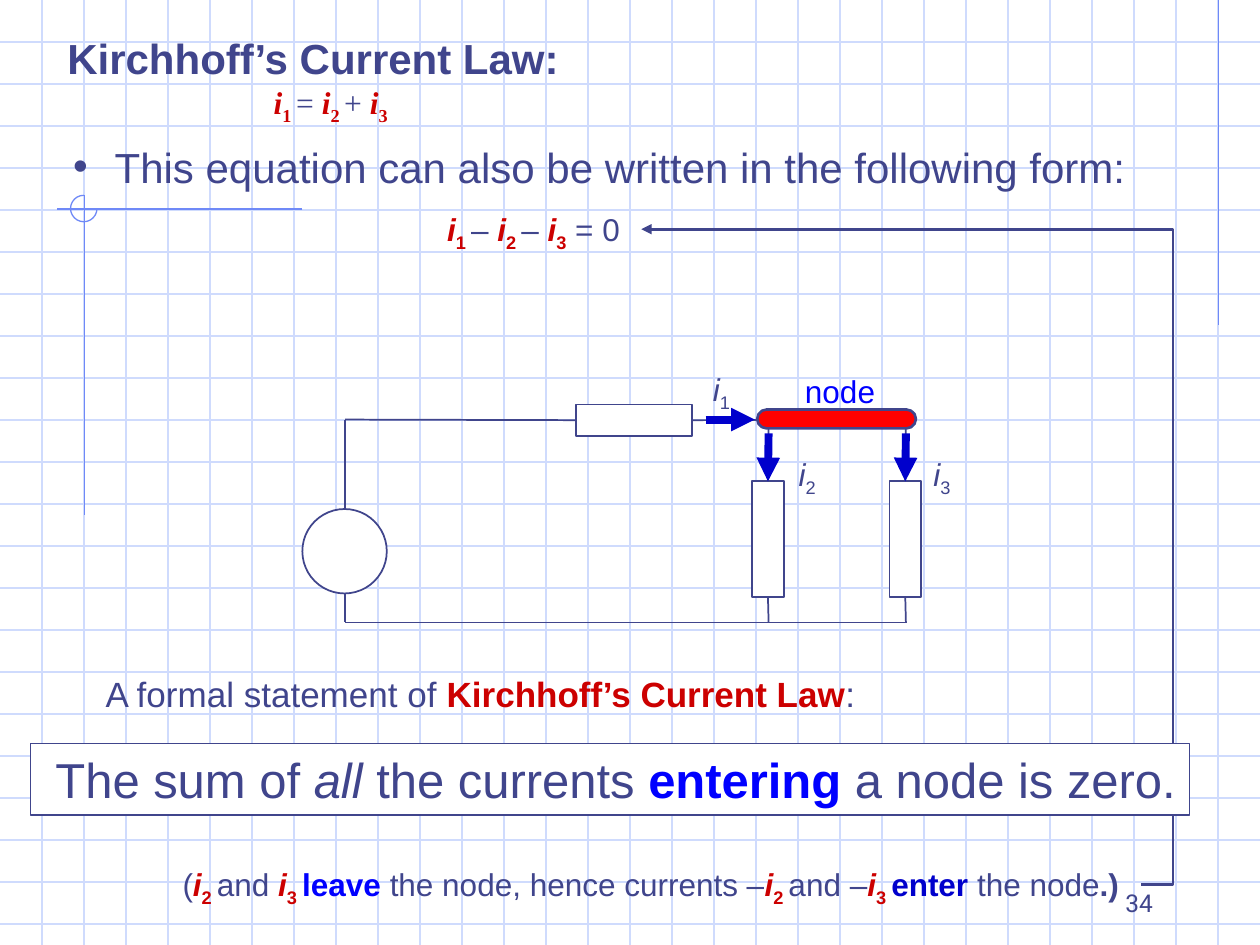
"""Build the slide on Kirchhoff's current law."""
import pptx
import pptx.util
import pptx.dml.color
import pptx.enum.shapes
import pptx.enum.text
import pptx.oxml
import pptx.oxml.ns

Inches = pptx.util.Inches
KIND = pptx.enum.shapes.MSO_SHAPE
LINK = pptx.enum.shapes.MSO_CONNECTOR
ALIGN = pptx.enum.text.PP_ALIGN
ANCHOR = pptx.enum.text.MSO_ANCHOR

HEX = {"ink": "40458C", "red": "CC0000", "bar": "FF0000", "blue": "0000FF",
       "navy": "0000CC", "grid": "CFDBFD", "rule": "6F89F7", "white": "FFFFFF"}
VAR = {"color": "red", "bold": True, "italic": True}
SUB = {"color": "red", "bold": True, "low": True}
RED = {"color": "red", "bold": True}
BLUE = {"color": "blue", "bold": True}
NAVY = {"color": "navy", "bold": True}
BOLD = {"bold": True}


def rgb(name):
    """Return the named colour."""
    return pptx.dml.color.RGBColor.from_string(HEX[name])


def term(num, gap=" "):
    """Return the runs of one current in red."""
    return [("i", VAR), (f"{num}{gap}", SUB)]


def write(para, runs, size, face="Arial"):
    """Add styled runs to a paragraph."""
    para.space_before = pptx.util.Pt(0)
    for text, style in runs:
        run = para.add_run()
        run.text = text
        form = {"size": pptx.util.Pt(size), "name": face, "bold": False,
                "italic": False, **style}
        run.font.color.rgb = rgb(form.pop("color", "ink"))
        if form.pop("low", False):
            run.font._element.set("baseline", "-25000")
        for key, value in form.items():
            setattr(run.font, key, value)


def place(shape, spot):
    """Move and size a shape."""
    for key, value in zip(("left", "top", "width", "height"), spot):
        setattr(shape, key, Inches(value))


def frame(shape, **form):
    """Set the text frame of a shape and return its first paragraph."""
    base = {"word_wrap": False, "vertical_anchor": ANCHOR.TOP,
            "auto_size": pptx.enum.text.MSO_AUTO_SIZE.NONE,
            "margin_left": Inches(0.1), "margin_right": Inches(0.1),
            "margin_top": Inches(0.05), "margin_bottom": Inches(0.05)}
    for key, value in {**base, **form}.items():
        setattr(shape.text_frame, key, value)
    return shape.text_frame.paragraphs[0]


def label(slide, spot, runs, size, face="Arial", align=ALIGN.LEFT, **form):
    """Add a text box with one line."""
    para = frame(slide.shapes.add_textbox(*map(Inches, spot)), **form)
    para.alignment = align
    write(para, runs, size, face)


def shape(slide, kind, spot, fill="white", line="ink", width=1):
    """Add a preset shape."""
    item = slide.shapes.add_shape(kind, *map(Inches, spot))
    item.shadow.inherit = False
    if fill:
        item.fill.solid()
        item.fill.fore_color.rgb = rgb(fill)
    else:
        item.fill.background()
    item.line.color.rgb = rgb(line)
    item.line.width = pptx.util.Pt(width)
    return item


def wire(slide, start, end, color="ink", width=1, head=False,
         kind=LINK.STRAIGHT, begin=None, join=None):
    """Add a connector, joined to shapes where given."""
    item = slide.shapes.add_connector(kind, *map(Inches, (*start, *end)))
    if begin:
        item.begin_connect(*begin)
    if join:
        item.end_connect(*join)
    item.line.color.rgb = rgb(color)
    item.line.width = pptx.util.Pt(width)
    props = item._element.spPr
    if head:
        tail = pptx.oxml.parse_xml(f'<a:tailEnd {pptx.oxml.ns.nsdecls("a")} type="triangle"/>')
        item.line._get_or_add_ln().append(tail)
    props.append(pptx.oxml.parse_xml(f'<a:effectLst {pptx.oxml.ns.nsdecls("a")}/>'))
    return item


def paper(slide):
    """Draw the squared paper and its margin rules."""
    for num in range(1, 23):
        wire(slide, (0, num / 3), (10, num / 3), "grid", 0.75)
    for num in range(1, 30):
        wire(slide, (num / 3, 0), (num / 3, 7.5), "grid", 0.75)
    for start, end in (((9.67, 0), (9.67, 2.58)), ((2.4, 1.66), (0.45, 1.66)),
                       ((0.67, 1.55), (0.67, 4.09))):
        wire(slide, start, end, "rule", 0.75)
    arc = shape(slide, KIND.ARC, (0.56, 1.55, 0.21, 0.21), None, "rule", 0.75)
    arc.adjustments[0], arc.adjustments[1] = 0, 162


def heading(slide):
    """Fill the title and body, above the paper."""
    title, body = slide.shapes.title, slide.placeholders[1]
    for item in (title, body):
        slide.shapes._spTree.append(item._element)
    place(title, (0.43, 0.21, 4.11, 0.87))
    first = frame(title)
    second = title.text_frame.add_paragraph()
    second._p.get_or_add_pPr().set("marL", str(Inches(0.28)))
    for para in (first, second):
        para.alignment = ALIGN.CENTER
    write(first, [("Kirchhoff’s Current Law:", BOLD)], 24)
    write(second, [*term(1), ("= ", {}), *term(2), ("+ ", {}), *term(3, "")],
          18, "Times New Roman")
    place(body, (0.48, 1.07, 9.52, 0.5))
    para = frame(body, word_wrap=True)
    props = para._p.get_or_add_pPr()
    props.set("marL", str(Inches(0.33)))
    props.set("indent", str(-Inches(0.33)))
    props.append(pptx.oxml.parse_xml(f'<a:buChar {pptx.oxml.ns.nsdecls("a")} char="•"/>'))
    write(para, [("This equation can also be written in the following form:", {})], 24)


def circuit(slide):
    """Draw the circuit with its node and currents."""
    shape(slide, KIND.OVAL, (2.4, 4.04, 0.67, 0.67))
    feed = shape(slide, KIND.RECTANGLE, (4.57, 3.21, 0.92, 0.25))
    wire(slide, (2.74, 3.33), (2.74, 4.04))
    wire(slide, (2.74, 4.71), (2.74, 4.94))
    wire(slide, (2.74, 4.94), (7.2, 4.94))
    wire(slide, (2.74, 3.33), (4.57, 3.33), join=(feed, 1))
    wire(slide, (5.49, 3.33), (7.19, 3.33), begin=(feed, 3))
    loads = []
    for mid in (6.1, 7.19):
        load = shape(slide, KIND.RECTANGLE, (mid - 0.13, 3.82, 0.25, 0.92))
        wire(slide, (mid, 3.33), (mid, 3.82), join=(load, 0))
        wire(slide, (mid, 4.74), (mid, 4.94), begin=(load, 2))
        loads.append((mid, load))
    node = shape(slide, KIND.ROUNDED_RECTANGLE, (6.01, 3.25, 1.26, 0.15), "bar", width=1.5)
    node.adjustments[0] = 0.5
    wire(slide, (5.6, 3.33), (5.99, 3.33), "navy", 4.5, True)
    for mid, load in loads:
        wire(slide, (mid, 3.44), (mid, 3.82), "navy", 4.5, True, join=(load, 0))
    for num, left, top in ((1, 5.56, 2.89), (2, 6.24, 3.56), (3, 7.31, 3.56)):
        label(slide, (left, top, 0.33, 0.44),
              [("i", {"italic": True}), (str(num), {"low": True})], 18)
    label(slide, (6.29, 2.9, 0.75, 0.4), [("node", {"color": "blue"})], 18)


def law(slide):
    """Add the equation, the formal statement and its note."""
    label(slide, (3.45, 1.62, 1.61, 0.44),
          [*term(1), ("– ", {}), *term(2), ("– ", {}), *term(3, ""), (" = 0", {})], 18)
    label(slide, (0.74, 5.29, 6.17, 0.44),
          [("A formal statement of ", {}), ("Kirchhoff’s Current Law", RED), (":", {})], 20)
    label(slide, (1.35, 6.82, 7.69, 0.44),
          [("(", {}), *term(2), ("and ", {}), *term(3), ("leave", BLUE),
           (" the node, hence currents –", {}), *term(2), ("and –", {}), *term(3),
           ("enter ", NAVY), ("the node", {}), (".)", BOLD)], 18)
    bent = wire(slide, (9.06, 7.02), (5.09, 1.82), width=1.5, head=True, kind=LINK.ELBOW)
    bent._element.spPr.prstGeom.get_or_add_avLst().append(pptx.oxml.parse_xml(
        f'<a:gd {pptx.oxml.ns.nsdecls("a")} name="adj1" fmla="val -6300"/>'))
    box = shape(slide, KIND.RECTANGLE, (0.24, 5.9, 9.2, 0.57), width=0.75)
    para = frame(box, margin_left=Inches(0.2))
    para.alignment = ALIGN.LEFT
    write(para, [("The sum of ", {}), ("all ", {"italic": True}), ("the currents ", {}),
                 ("entering", BLUE), (" a node is zero.", {})], 28)


def main():
    """Build and save the slide."""
    deck = pptx.Presentation()
    deck.slide_width, deck.slide_height = Inches(10), Inches(7.5)
    slide = deck.slides.add_slide(deck.slide_layouts[1])
    paper(slide)
    heading(slide)
    label(slide, (7.17, 6.83, 2.08, 0.5), [("34", {})], 14, "Roboto", ALIGN.RIGHT,
          word_wrap=True, vertical_anchor=ANCHOR.BOTTOM)
    circuit(slide)
    law(slide)
    deck.save("out.pptx")


if __name__ == "__main__":
    main()
